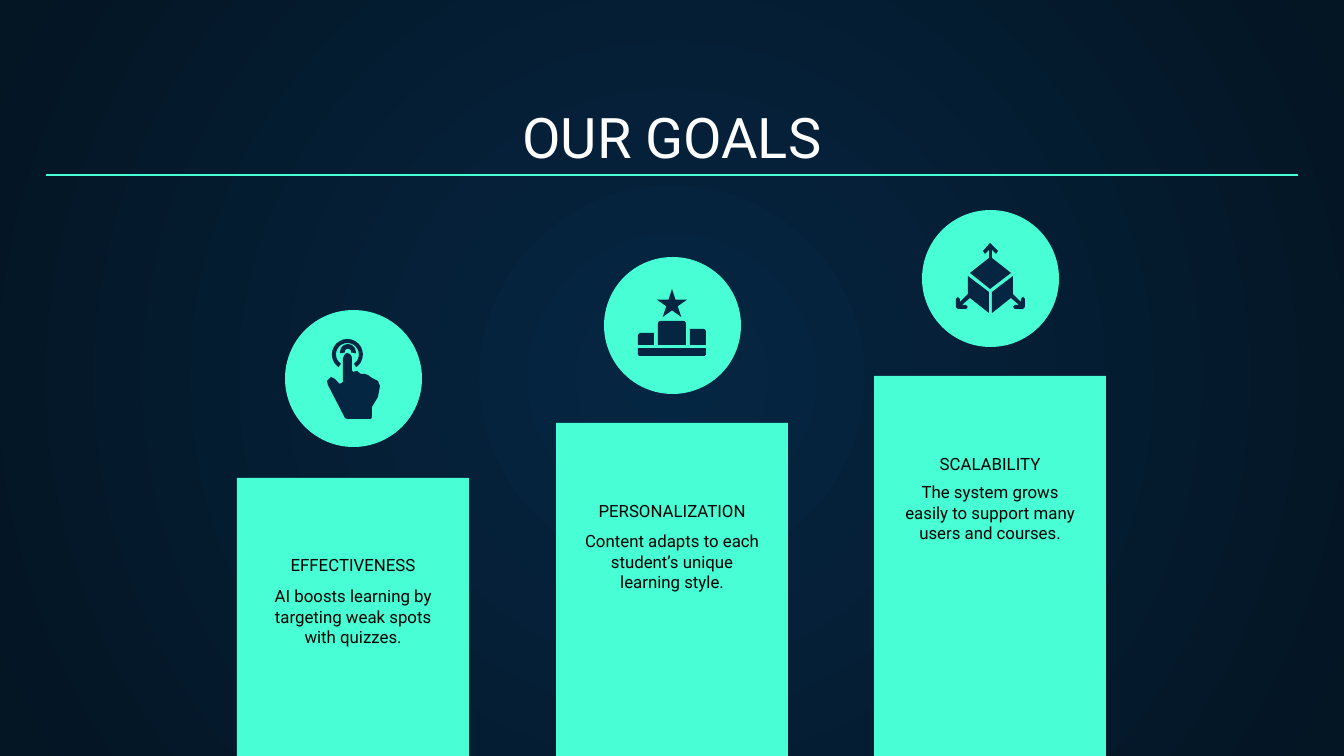
from lxml.etree import SubElement
from pptx import Presentation
from pptx.dml.color import RGBColor
from pptx.enum.shapes import MSO_CONNECTOR, MSO_SHAPE as Shape
from pptx.enum.text import MSO_ANCHOR as Anchor, PP_ALIGN as Align
from pptx.oxml.ns import qn
from pptx.util import Pt

MINT = RGBColor(0x48, 0xFF, 0xD5)
NAVY = RGBColor(0x05, 0x26, 0x43)
MIDNIGHT = RGBColor(0x04, 0x15, 0x23)
WHITE = RGBColor(0xFF, 0xFF, 0xFF)
BLACK = RGBColor(0x00, 0x00, 0x00)
FONT = "Roboto"
SCALE = 914400 / 134.4
WIDTH, HEIGHT = 1344, 756
INSET = 13
BAR_WIDTH, HEADING_WIDTH, BODY_WIDTH, CIRCLE = 232, 305, 204, 137

GOALS = [
    (353, 478, 310, 556, 573, "EFFECTIVENESS",
     "AI boosts learning by targeting weak spots with quizzes."),
    (672, 423, 257, 502, 518, "PERSONALIZATION",
     "Content adapts to each student’s unique learning style."),
    (990, 376, 210, 455, 469, "SCALABILITY",
     "The system grows easily to support many users and courses."),
]
HAND = [
    (347, 353), (345, 354), (343, 358), (343, 382), (340, 384), (335, 379),
    (331, 377), (327, 381), (328, 385), (345, 418), (347, 419), (371, 419),
    (372, 417), (372, 407), (378, 397), (380, 386), (378, 381), (372, 378),
    (368, 375), (365, 374), (361, 374), (357, 371), (353, 372), (352, 370),
    (352, 357), (350, 354),
]
LOW_STEP = [(638, 345), (638, 335), (640, 333), (654, 333), (654, 345)]
CUBE_TOP = [
    (990, 243), (998, 251), (996, 254), (992, 250), (992, 258), (1011, 273),
    (990, 289), (970, 273), (989, 258), (989, 250), (985, 254), (983, 251),
]
CUBE_RIGHT = [
    (1013, 276), (992, 292), (992, 313), (1011, 298), (1019, 305),
    (1015, 305), (1013, 307), (1015, 309), (1023, 309), (1025, 307),
    (1025, 299), (1023, 297), (1021, 299), (1021, 302), (1013, 294),
]
CUBE_LEFT = [(1981 - x, y) for x, y in CUBE_RIGHT]


def px(length):
    """Turn px into EMU."""
    return round(length * SCALE)


class GoalSlide:
    """Holds the style and the current slide."""

    def __init__(self, deck):
        """Add a blank page with a radial background."""
        self.page = deck.slides.add_slide(deck.slide_layouts[6])
        fill = self.page.background.fill
        fill.gradient()
        for stop, color, position in zip(fill.gradient_stops, (NAVY, MIDNIGHT), (0, 1)):
            stop.color.rgb = color
            stop.position = position
        linear = next(self.page.element.iter(qn("a:lin")))
        gradient = linear.getparent()
        gradient.remove(linear)
        radial = SubElement(gradient, qn("a:path"), {"path": "circle"})
        SubElement(radial, qn("a:fillToRect"), dict.fromkeys("ltrb", "50000"))

    def paint(self, shape, color):
        """Give a shape a flat fill without line or shadow."""
        shape.shadow.inherit = False
        shape.fill.solid()
        shape.fill.fore_color.rgb = color
        shape.line.fill.background()

    def shape(self, kind, left, top, width, height, color, adjustments=()):
        """Add a preset shape."""
        item = self.page.shapes.add_shape(kind, px(left), px(top), px(width), px(height))
        for index, value in enumerate(adjustments):
            item.adjustments[index] = value
        self.paint(item, color)

    def polygon(self, points, color):
        """Add a closed outline."""
        builder = self.page.shapes.build_freeform(*points[0], scale=SCALE)
        builder.add_line_segments(points[1:], close=True)
        self.paint(builder.convert_to_shape(), color)

    def text(self, words, center, top, width, height, size, color, anchor):
        """Add a centred text box."""
        box = self.page.shapes.add_textbox(
            px(center - width / 2), px(top), px(width), px(height))
        frame = box.text_frame
        frame.word_wrap = True
        frame.vertical_anchor = anchor
        frame.margin_left = frame.margin_right = px(INSET)
        frame.margin_top = frame.margin_bottom = px(INSET)
        frame.text = words
        para = frame.paragraphs[0]
        para.alignment = Align.CENTER
        for span in para.runs:
            span.font.name = FONT
            span.font.size = Pt(size)
            span.font.color.rgb = color

    def rule(self, left, right, top):
        """Add a thin horizontal line."""
        line = self.page.shapes.add_connector(
            MSO_CONNECTOR.STRAIGHT, px(left), px(top), px(right), px(top))
        line.line.color.rgb = MINT
        line.line.width = Pt(0.75)
        SubElement(line.element.spPr, qn("a:effectLst"))

    def goal(self, center, bar, circle, heading, body, title, words):
        """Add a bar with its circle and texts."""
        self.shape(Shape.RECTANGLE, center - BAR_WIDTH // 2, bar,
                   BAR_WIDTH, HEIGHT - bar, MINT)
        self.shape(Shape.OVAL, center - CIRCLE // 2, circle, CIRCLE, CIRCLE, MINT)
        self.text(title, center, heading, HEADING_WIDTH, 29, 9, BLACK, Anchor.BOTTOM)
        self.text(words, center, body, BODY_WIDTH, 74, 9, BLACK, Anchor.TOP)


def main():
    """Build the slide and save it."""
    deck = Presentation()
    deck.slide_width, deck.slide_height = px(WIDTH), px(HEIGHT)
    slide = GoalSlide(deck)
    slide.text("OUR GOALS", WIDTH // 2, 94, 1252, 89, 30, WHITE, Anchor.BOTTOM)
    slide.rule(46, 1298, 175)
    for goal in GOALS:
        slide.goal(*goal)
    for outline in (HAND, LOW_STEP, CUBE_TOP, CUBE_RIGHT, CUBE_LEFT):
        slide.polygon(outline, NAVY)
    for kind, left, top, width, height, adjustments in (
        (Shape.BLOCK_ARC, 332, 339, 31, 31, (75, 33, 0.13)),
        (Shape.BLOCK_ARC, 340, 344, 16, 16, (102, 6, 0.3)),
        (Shape.STAR_5_POINT, 657, 289, 30, 28, ()),
        (Shape.ROUND_2_SAME_RECTANGLE, 658, 321, 28, 24, (0.1, 0)),
        (Shape.ROUND_1_RECTANGLE, 690, 329, 16, 16, (0.15,)),
        (Shape.ROUND_2_SAME_RECTANGLE, 638, 348, 68, 8, (0, 0.25)),
    ):
        slide.shape(kind, left, top, width, height, NAVY, adjustments)
    deck.save("out.pptx")


if __name__ == "__main__":
    main()
